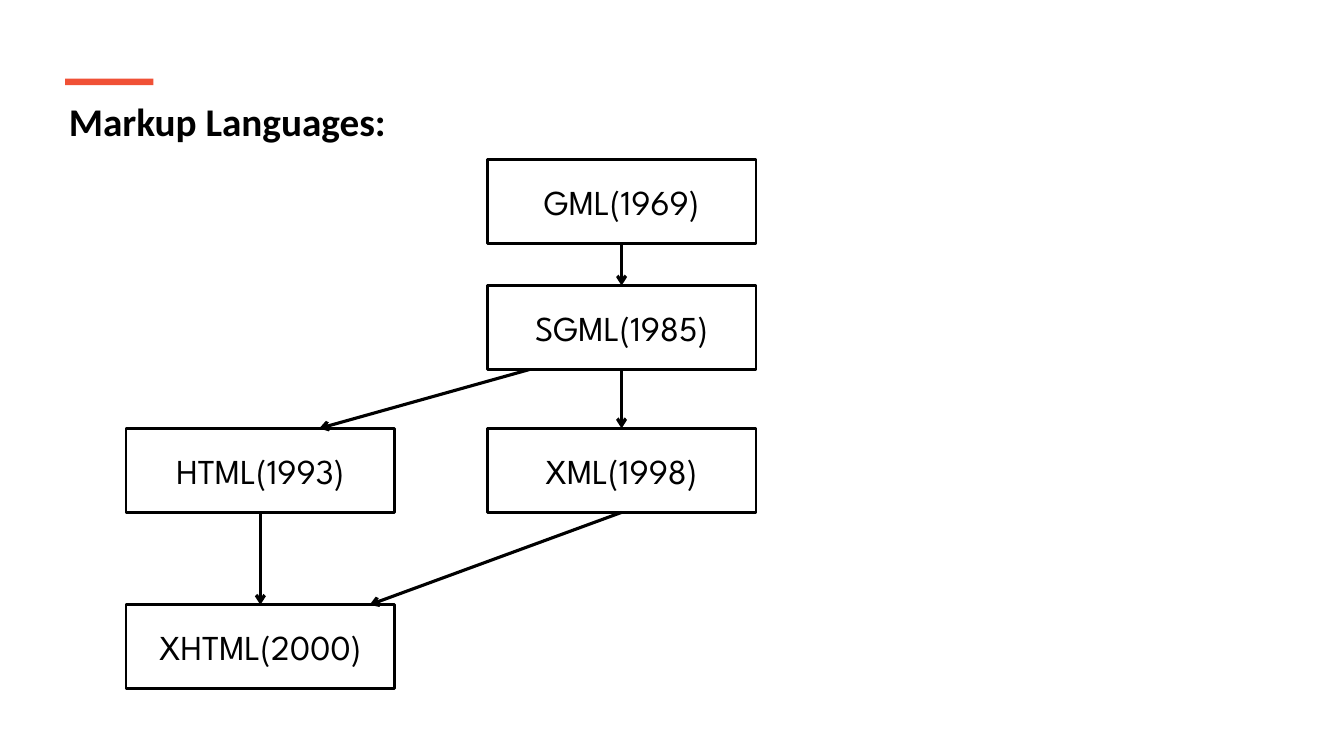
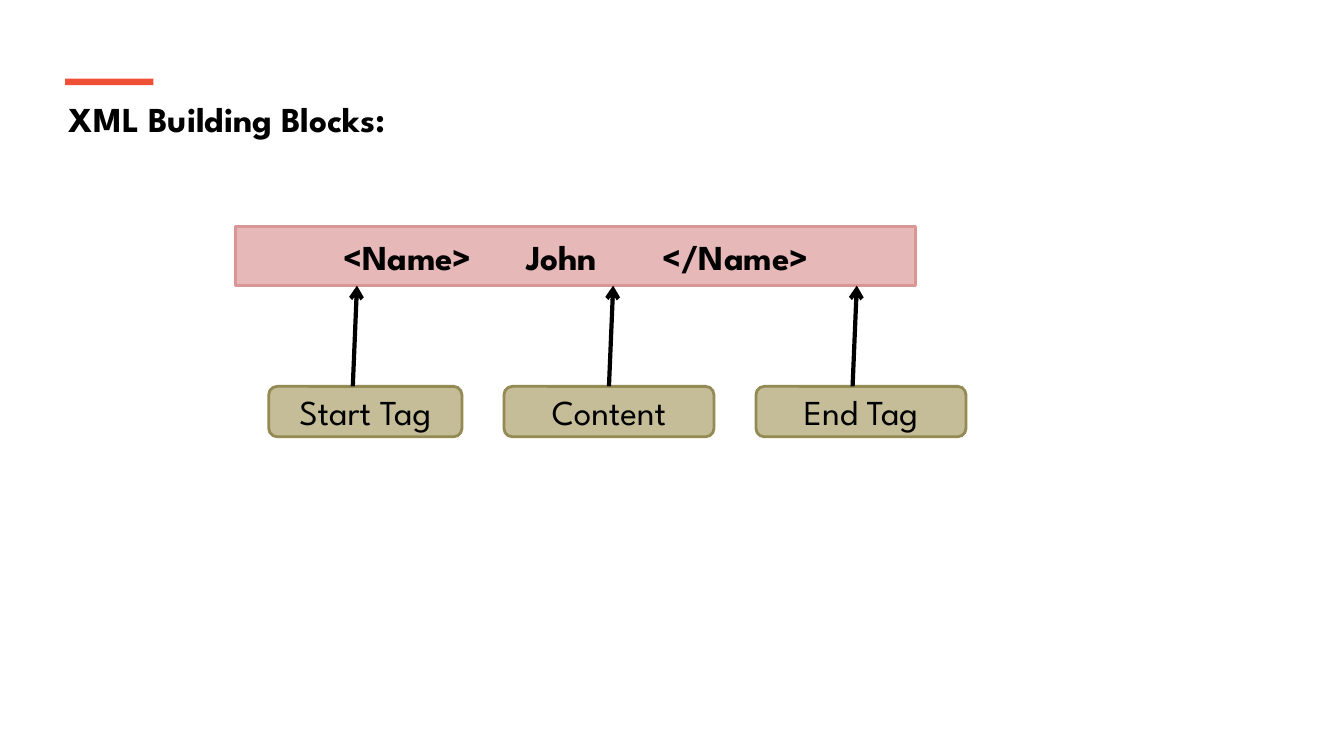
from pptx import Presentation
from pptx.dml.color import RGBColor
from pptx.enum.shapes import MSO_CONNECTOR, MSO_SHAPE
from pptx.enum.text import MSO_ANCHOR, MSO_AUTO_SIZE, PP_ALIGN
from pptx.oxml.ns import qn
from pptx.util import Pt
from lxml import etree

RECT, ROUNDED = MSO_SHAPE.RECTANGLE, MSO_SHAPE.ROUNDED_RECTANGLE
STRAIGHT = MSO_CONNECTOR.STRAIGHT
LEFT, CENTER = PP_ALIGN.LEFT, PP_ALIGN.CENTER
TOP, MIDDLE = MSO_ANCHOR.TOP, MSO_ANCHOR.MIDDLE
TOP_SIDE, BOTTOM_SIDE = 0, 2

BLACK = RGBColor(0x00, 0x00, 0x00)
ACCENT = RGBColor(0xF0, 0x51, 0x36)
PINK = RGBColor(0xE6, 0xB9, 0xB8)
PINK_EDGE = RGBColor(0xD9, 0x96, 0x94)
KHAKI = RGBColor(0xC4, 0xBD, 0x97)
KHAKI_EDGE = RGBColor(0x94, 0x8A, 0x54)

SPARTAN, CALIBRI = "League Spartan", "Calibri"
TEXT_SIZE = 25
EMU_PER_PX = 9525  # 96 px to the inch

# Slide 1: language -> left and top of its box
LANGUAGES = {
    "GML(1969)": (464, 152),
    "SGML(1985)": (464, 272),
    "XML(1998)": (464, 408),
    "HTML(1993)": (120, 408),
    "XHTML(2000)": (120, 576),
}
LANGUAGE_W, LANGUAGE_H = 256, 80
# Ancestor, descendant, start x, end x (None: middle of the side)
DESCENT = [
    ("GML(1969)", "SGML(1985)", None, None),
    ("SGML(1985)", "XML(1998)", None, None),
    ("SGML(1985)", "HTML(1993)", 504, 304),
    ("HTML(1993)", "XHTML(2000)", None, None),
    ("XML(1998)", "XHTML(2000)", None, 352),
]

# Slide 2: element parts, tab stops, and labels (text, width, arrow start x)
ELEMENT_PARTS = ["<Name>", "John", "</Name>"]
ELEMENT_BOX = (224, 216, 648, 56)
ELEMENT_INSET, ELEMENT_TABS = 103, (174, 304)
LABELS = [("Start Tag", 184, 336), ("Content", 200, None), ("End Tag", 200, 812)]
LABEL_LEFT, LABEL_TOP, LABEL_H, LABEL_GAP = 256, 368, 48, 40
ARROW_LEAN = 4


def px(length):
    return int(length * EMU_PER_PX)


def write(paragraph, text, font=SPARTAN, size=TEXT_SIZE, bold=False, align=CENTER):
    paragraph.alignment = align
    run = paragraph.add_run()
    run.text = text
    run.font.name, run.font.size, run.font.bold = font, Pt(size), bold
    run.font.color.rgb = BLACK


def add_box(slide, preset, box, fill=None, edge=None):
    shape = slide.shapes.add_shape(preset, *map(px, box))
    shape.shadow.inherit = False
    if fill is None:
        shape.fill.background()
    else:
        shape.fill.solid()
        shape.fill.fore_color.rgb = fill
    if edge is None:
        shape.line.fill.background()
    else:
        shape.line.color.rgb = edge
        shape.line.width = Pt(2)
    shape.text_frame.vertical_anchor = MIDDLE
    return shape


def side_point(shape, side, x):
    left = shape.left + shape.width // 2 if x is None else px(x)
    return left, shape.top + (shape.height if side == BOTTOM_SIDE else 0)


def add_arrow(slide, start, end, weight):
    """Each end is (shape, side, x); an end without x is joined to the side."""
    arrow = slide.shapes.add_connector(STRAIGHT, *side_point(*start), *side_point(*end))
    for (shape, side, x), connect in ((start, arrow.begin_connect), (end, arrow.end_connect)):
        if x is None:
            connect(shape, side)
    arrow.line.color.rgb = BLACK
    arrow.line.width = Pt(weight)
    etree.SubElement(arrow.line._get_or_add_ln(), qn("a:tailEnd"), type="arrow")
    etree.SubElement(arrow._element.spPr, qn("a:effectLst"))


def add_titled_slide(prs, title, height, font=SPARTAN, size=TEXT_SIZE):
    slide = prs.slides.add_slide(prs.slide_layouts[5])  # Title Only
    heading = slide.shapes.title
    heading.left, heading.top = px(56), px(88)
    heading.width, heading.height = px(1161), px(height)
    frame = heading.text_frame
    frame.word_wrap, frame.auto_size = True, MSO_AUTO_SIZE.NONE
    frame.vertical_anchor = TOP
    write(frame.paragraphs[0], title, font, size, True, LEFT)
    add_box(slide, RECT, (62, 75, 84, 6), ACCENT)
    return slide


def build_languages(prs):
    slide = add_titled_slide(prs, "Markup Languages:", 140, CALIBRI, 28)
    boxes = {}
    for name, corner in LANGUAGES.items():
        boxes[name] = add_box(slide, RECT, (*corner, LANGUAGE_W, LANGUAGE_H), edge=BLACK)
        write(boxes[name].text_frame.paragraphs[0], name)
    for ancestor, descendant, start_x, end_x in DESCENT:
        add_arrow(slide, (boxes[ancestor], BOTTOM_SIDE, start_x),
                  (boxes[descendant], TOP_SIDE, end_x), 2.25)


def build_building_blocks(prs):
    slide = add_titled_slide(prs, "XML Building Blocks:", 50)

    # Sample element, its parts set on tab stops
    element = add_box(slide, RECT, ELEMENT_BOX, PINK, PINK_EDGE)
    element.text_frame.margin_left = px(ELEMENT_INSET)
    line = element.text_frame.paragraphs[0]
    write(line, "\t".join(ELEMENT_PARTS), bold=True, align=LEFT)
    stops = etree.SubElement(line._p.get_or_add_pPr(), qn("a:tabLst"))
    for stop in ELEMENT_TABS:
        etree.SubElement(stops, qn("a:tab"), pos=str(px(stop)), algn="l")

    # Labels in a row, each pointing up to the element
    left = LABEL_LEFT
    for text, width, start_x in LABELS:
        label = add_box(slide, ROUNDED, (left, LABEL_TOP, width, LABEL_H), KHAKI, KHAKI_EDGE)
        write(label.text_frame.paragraphs[0], text)
        tip_x = (left + width / 2 if start_x is None else start_x) + ARROW_LEAN
        add_arrow(slide, (label, TOP_SIDE, start_x), (element, BOTTOM_SIDE, tip_x), 3)
        left += width + LABEL_GAP


def main():
    prs = Presentation()
    prs.slide_width, prs.slide_height = px(1280), px(720)
    build_languages(prs)
    build_building_blocks(prs)
    prs.save("out.pptx")


if __name__ == "__main__":
    main()
